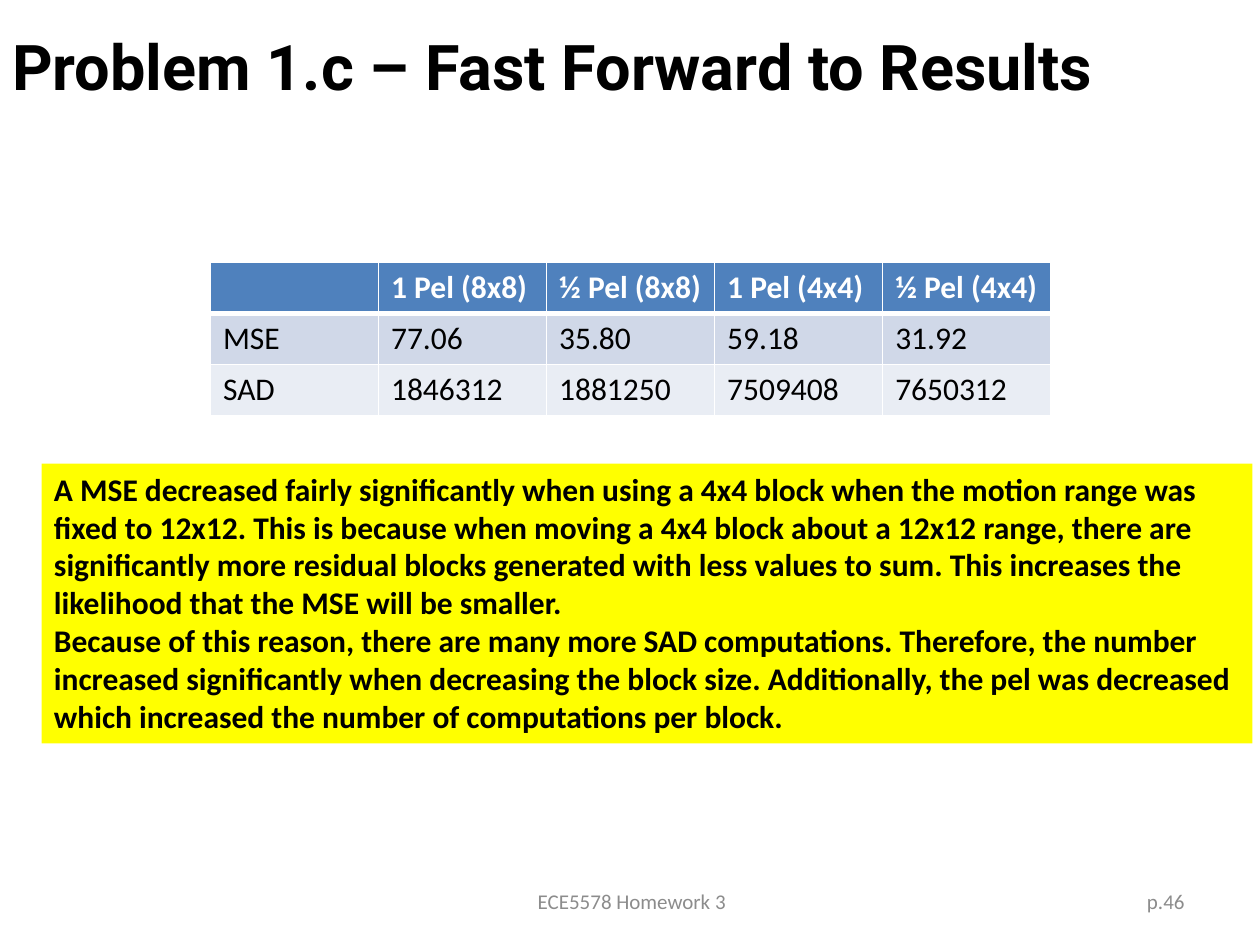
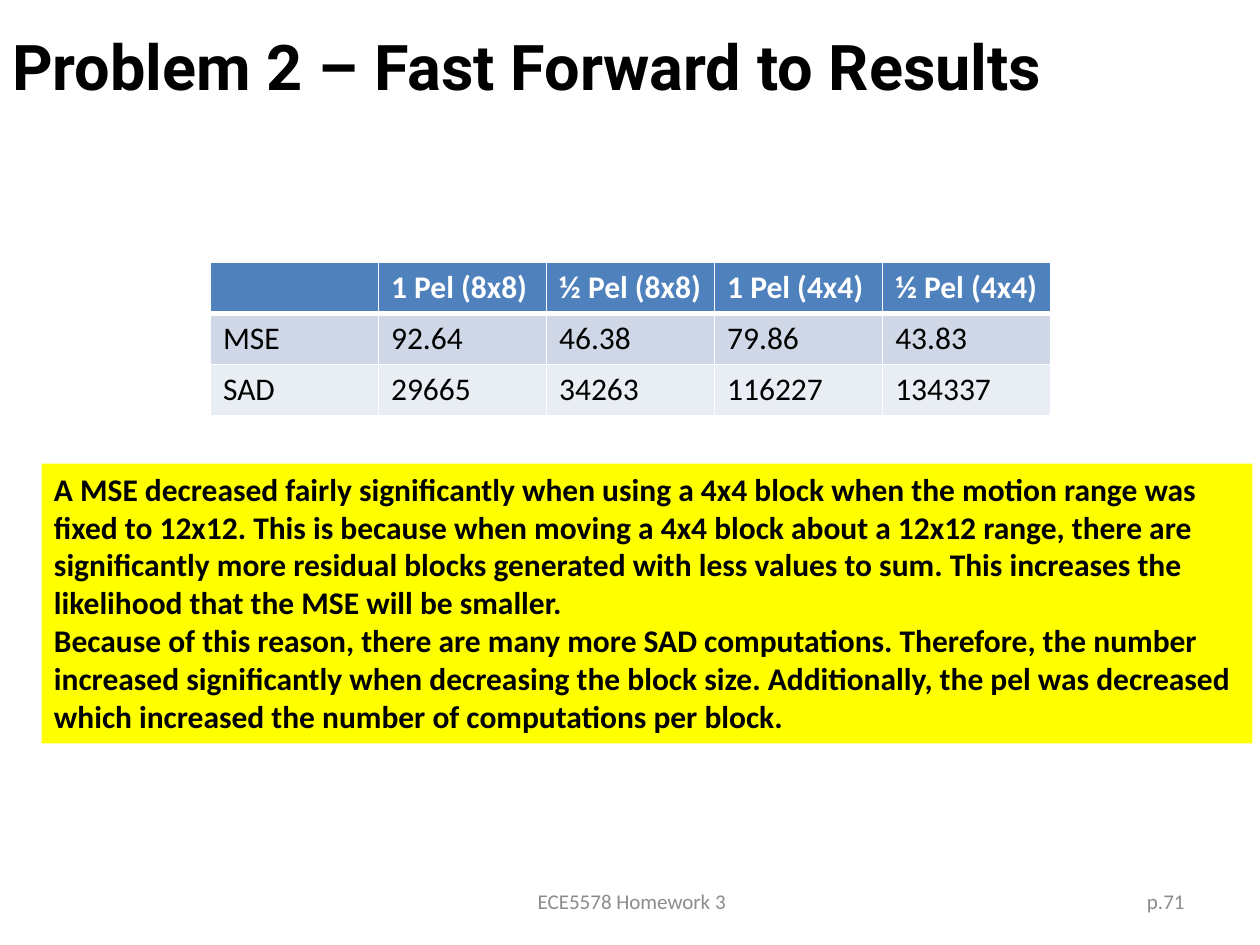
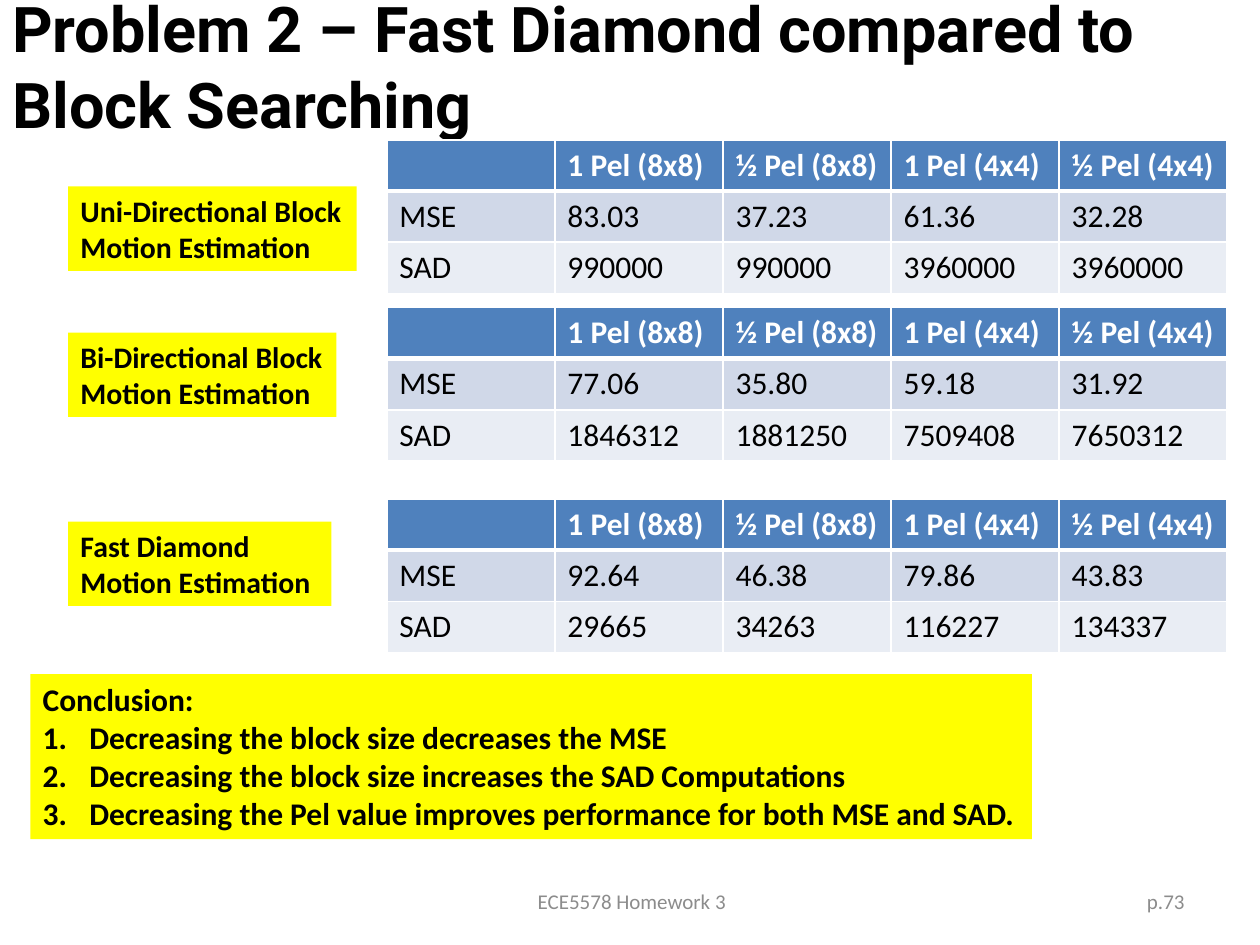
from dataclasses import dataclass

from lxml.etree import Element, SubElement
from pptx import Presentation
from pptx.dml.color import RGBColor
from pptx.enum.text import MSO_ANCHOR, MSO_AUTO_SIZE, PP_ALIGN
from pptx.oxml.ns import qn
from pptx.util import Inches, Pt


@dataclass(frozen=True)
class Theme:
    title_font: str = "Roboto"
    body_font: str = "Calibri"
    black: RGBColor = RGBColor(0x00, 0x00, 0x00)
    white: RGBColor = RGBColor(0xFF, 0xFF, 0xFF)
    gray: RGBColor = RGBColor(0x8C, 0x8C, 0x8C)
    yellow: RGBColor = RGBColor(0xFF, 0xFF, 0x00)
    header: RGBColor = RGBColor(0x4F, 0x81, 0xBD)
    bands: tuple = (RGBColor(0xD0, 0xD8, 0xE8), RGBColor(0xE9, 0xED, 0xF4))
    title_size: int = 36
    body_size: int = 18
    label_size: int = 17
    footer_size: int = 12
    grid_line: int = 1
    header_line: int = 3


theme = Theme()

COLUMNS = ["", "1 Pel (8x8)", "½ Pel (8x8)", "1 Pel (4x4)", "½ Pel (4x4)"]
UNI_DIRECTIONAL = [
    ["MSE", "83.03", "37.23", "61.36", "32.28"],
    ["SAD", "990000", "990000", "3960000", "3960000"],
]
BI_DIRECTIONAL = [
    ["MSE", "77.06", "35.80", "59.18", "31.92"],
    ["SAD", "1846312", "1881250", "7509408", "7650312"],
]
FAST_DIAMOND = [
    ["MSE", "92.64", "46.38", "79.86", "43.83"],
    ["SAD", "29665", "34263", "116227", "134337"],
]
EXPLANATION = [
    "A MSE decreased fairly significantly when using a 4x4 block when the motion range was",
    "fixed to 12x12. This is because when moving a 4x4 block about a 12x12 range, there are",
    "significantly more residual blocks generated with less values to sum. This increases the",
    "likelihood that the MSE will be smaller.",
    "Because of this reason, there are many more SAD computations. Therefore, the number",
    "increased significantly when decreasing the block size. Additionally, the pel was decreased",
    "which increased the number of computations per block.",
]
CONCLUSION = [
    "Conclusion:",
    "Decreasing the block size decreases the MSE",
    "Decreasing the block size increases the SAD Computations",
    "Decreasing the Pel value improves performance for both MSE and SAD.",
]


def add_text(page, place, lines, size, color=theme.black, font=theme.body_font,
             bold=True, align=PP_ALIGN.LEFT, highlight=False):
    """Add one paragraph per line; a highlighted box is yellow and fits its text."""
    box = page.shapes.add_textbox(*map(Inches, place))
    frame = box.text_frame
    frame.text = "\n".join(lines)
    if highlight:
        box.fill.solid()
        box.fill.fore_color.rgb = theme.yellow
        frame.word_wrap = False
        frame.auto_size = MSO_AUTO_SIZE.SHAPE_TO_FIT_TEXT
    else:
        frame.word_wrap = True
        frame.vertical_anchor = MSO_ANCHOR.MIDDLE
    for para in frame.paragraphs:
        para.alignment = align
        para.font.name = font
        para.font.size = Pt(size)
        para.font.bold = bold
        para.font.color.rgb = color
    return box


def add_results(page, left, top, results):
    """Add a results table with a thick white rule under its header."""
    rows = [COLUMNS, *results]
    table = page.shapes.add_table(len(rows), len(COLUMNS), Inches(left), Inches(top),
                                  Inches(6.67), Inches(1.22)).table
    fills = [theme.header, *theme.bands]
    rules = [theme.grid_line, theme.header_line, theme.grid_line, theme.grid_line]
    for row_index, (values, fill) in enumerate(zip(rows, fills)):
        is_header = row_index == 0
        borders = {"a:lnL": theme.grid_line, "a:lnR": theme.grid_line,
                   "a:lnT": rules[row_index], "a:lnB": rules[row_index + 1]}
        for column_index, value in enumerate(values):
            cell = table.cell(row_index, column_index)
            properties = cell._tc.get_or_add_tcPr()
            for side, width in borders.items():
                line = SubElement(properties, qn(side), w=str(Pt(width)))
                line_fill = SubElement(line, qn("a:solidFill"))
                SubElement(line_fill, qn("a:srgbClr"), val=str(theme.white))
            cell.fill.solid()
            cell.fill.fore_color.rgb = fill
            cell.text = value
            font = cell.text_frame.paragraphs[0].font
            font.name = theme.body_font
            font.size = Pt(theme.body_size)
            font.bold = is_header
            font.color.rgb = theme.white if is_header else theme.black


deck = Presentation()
deck.slide_width = Inches(10)
deck.slide_height = Inches(7.5)

# Titles and footers
pages = []
for title, number in [
    ("Problem 1.c – Fast Forward to Results", 46),
    ("Problem 2 – Fast Forward to Results", 71),
    ("Problem 2 – Fast Diamond compared to Block Searching", 73),
]:
    page = deck.slides.add_slide(deck.slide_layouts[6])
    add_text(page, (0, 0.1, 10, 0.84), [title], theme.title_size, font=theme.title_font)
    add_text(page, (7.17, 6.95, 2.33, 0.4), [f"p.{number}"], theme.footer_size,
             theme.gray, bold=False, align=PP_ALIGN.RIGHT)
    add_text(page, (3.43, 6.95, 3.17, 0.4), ["ECE5578 Homework 3"], theme.footer_size,
             theme.gray, bold=False, align=PP_ALIGN.CENTER)
    pages.append(page)

# Result slides
*result_pages, comparison = pages
for page, results in zip(result_pages, [BI_DIRECTIONAL, FAST_DIAMOND]):
    add_text(page, (0.33, 3.68, 9.61, 2.22), EXPLANATION, theme.body_size, highlight=True)
    add_results(page, 1.67, 2.08, results)

# Comparison slide
conclusion = add_text(comparison, (0.24, 5.35, 7.95, 1.31), CONCLUSION, theme.body_size,
                      highlight=True)
for para in conclusion.text_frame.paragraphs[1:]:
    properties = para._p.get_or_add_pPr()
    properties.set("marL", str(Inches(0.37)))
    properties.set("indent", str(Inches(-0.37)))
    properties.insert(0, Element(qn("a:buAutoNum"), type="arabicPeriod"))

for method, label_top, label_width, table_top, results in [
    ("Uni-Directional Block", 1.48, 2.29, 1.11, UNI_DIRECTIONAL),
    ("Bi-Directional Block", 2.64, 2.13, 2.44, BI_DIRECTIONAL),
    ("Fast Diamond", 4.14, 2.09, 3.96, FAST_DIAMOND),
]:
    add_text(comparison, (0.54, label_top, label_width, 0.67),
             [method, "Motion Estimation"], theme.label_size, highlight=True)
    add_results(comparison, 3.07, table_top, results)

deck.save("out.pptx")
